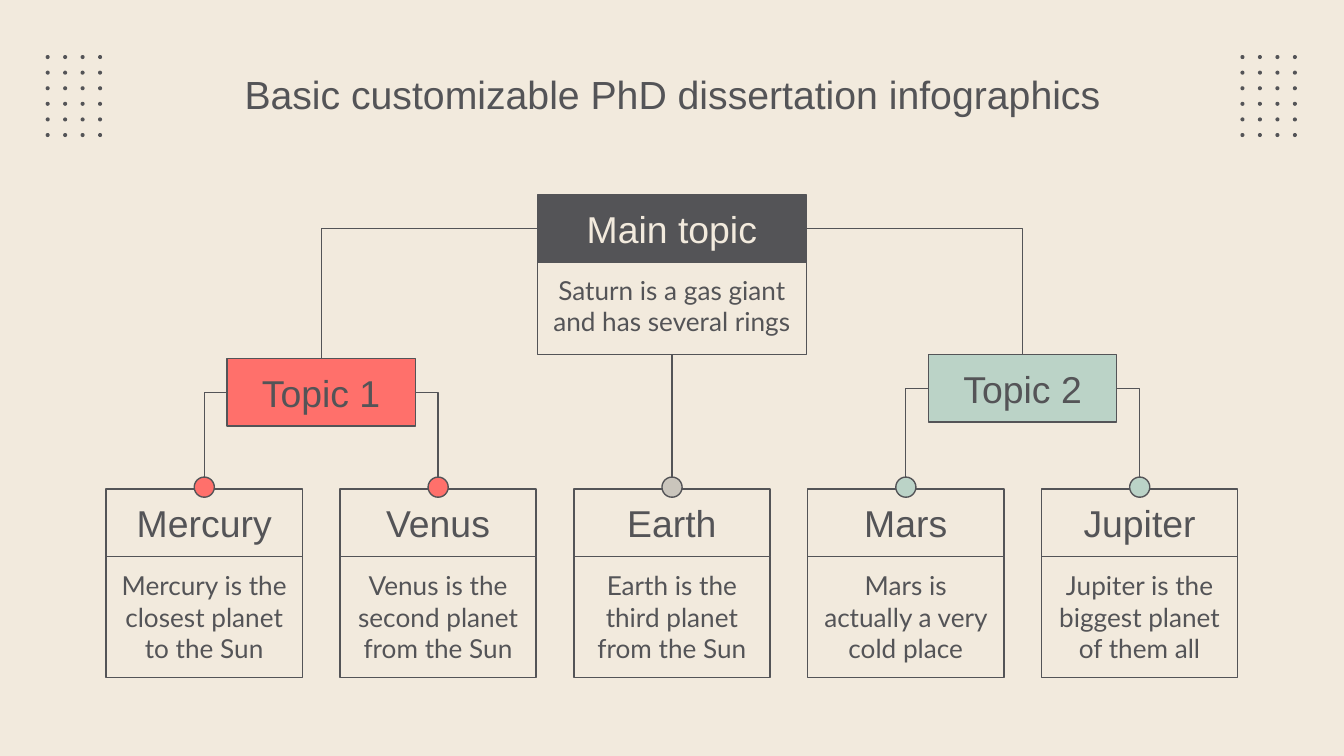
"""Build a topic tree slide with one main topic, two branches and five planets."""
from dataclasses import dataclass

from lxml.etree import SubElement
from pptx import Presentation
from pptx.dml.color import RGBColor as RGB
from pptx.enum.shapes import MSO_CONNECTOR as Link, MSO_SHAPE as Shape
from pptx.enum.text import MSO_ANCHOR as Anchor, MSO_AUTO_SIZE as Fit, PP_ALIGN as Align
from pptx.oxml.ns import qn
from pptx.util import Inches, Pt

TOP, LEFT, BOTTOM, RIGHT = range(4)


@dataclass(frozen=True)
class Theme:
    ink: RGB = RGB(0x54, 0x54, 0x57)
    paper: RGB = RGB(0xF2, 0xEA, 0xDD)
    coral: RGB = RGB(0xFF, 0x70, 0x6B)
    mint: RGB = RGB(0xBB, 0xD3, 0xC7)
    stone: RGB = RGB(0xCA, 0xC5, 0xBC)
    head: str = "Arial"
    body: str = "Lato"
    title: float = 21
    topic: float = 20
    note: float = 14
    line: float = 0.75


THEME = Theme()
PLANETS = [
    ("Mercury", "Mercury is the closest planet to the Sun", THEME.coral),
    ("Venus", "Venus is the second planet from the Sun", THEME.coral),
    ("Earth", "Earth is the third planet from the Sun", THEME.stone),
    ("Mars", "Mars is actually a very cold place", THEME.mint),
    ("Jupiter", "Jupiter is the biggest planet of them all", THEME.mint),
]


def write(shape, text, font=THEME.head, size=THEME.topic, color=THEME.ink,
          anchor=Anchor.MIDDLE, top=0.1):
    frame = shape.text_frame
    frame.text = text
    frame.word_wrap = True
    frame.auto_size = Fit.NONE
    frame.vertical_anchor = anchor
    frame.margin_left = frame.margin_right = frame.margin_bottom = Inches(0.1)
    frame.margin_top = Inches(top)
    para = frame.paragraphs[0]
    para.alignment = Align.CENTER
    para.font.name, para.font.size = font, Pt(size)
    para.font.color.rgb = color


def draw(slide, kind, left, top, width, height, fill=None, edge=True):
    shape = slide.shapes.add_shape(
        kind, Inches(left), Inches(top), Inches(width), Inches(height))
    shape.shadow.inherit = False
    if fill is None:
        shape.fill.background()
    else:
        shape.fill.solid()
        shape.fill.fore_color.rgb = fill
    if edge:
        shape.line.color.rgb = THEME.ink
        shape.line.width = Pt(THEME.line)
    else:
        shape.line.fill.background()
    return shape


def topic(slide, text, left, top, width, fill=None, color=THEME.ink):
    box = draw(slide, Shape.RECTANGLE, left, top, width, 0.5, fill)
    write(box, text, color=color)
    return box


def note(slide, text, left, top, width, height):
    box = draw(slide, Shape.RECTANGLE, left, top, width, height)
    write(box, text, font=THEME.body, size=THEME.note, anchor=Anchor.TOP)
    return box


def join(slide, start, side, end, bent=True):
    kind = Link.ELBOW if bent else Link.STRAIGHT
    line = slide.shapes.add_connector(kind, 0, 0, 0, 0)
    line.begin_connect(start, side)
    line.end_connect(end, TOP)
    line.line.color.rgb = THEME.ink
    line.line.width = Pt(THEME.line)
    props = line._element.spPr
    if bent:
        props.find(qn("a:prstGeom")).set("prst", "bentConnector2")
    SubElement(props, qn("a:effectLst"))


def dots(slide, left):
    for row in range(6):
        for col in range(4):
            draw(slide, Shape.OVAL, left + col * 0.13, 0.41 + row * 0.58 / 5,
                 0.03, 0.03, THEME.ink, edge=False)


def head(slide, text):
    title = slide.shapes.title
    title.left, title.top = Inches(0.79), Inches(0.4)
    title.width, title.height = Inches(8.43), Inches(0.63)
    write(title, text, size=THEME.title, top=0.07)


def planet(slide, index, name, text, color):
    left, width, dot = 0.79 + index * 1.74, 1.46, 0.15
    topic(slide, name, left, 3.64, width)
    note(slide, text, left, 4.14, width, 0.9)
    return draw(slide, Shape.OVAL, left + (width - dot) / 2, 3.55, dot, dot, color)


def main():
    deck = Presentation()
    deck.slide_width = Inches(10)
    deck.slide_height = deck.slide_width * 9 // 16
    slide = deck.slides.add_slide(deck.slide_layouts[5])
    slide.background.fill.solid()
    slide.background.fill.fore_color.rgb = THEME.paper

    for left in (0.34, 9.23):
        dots(slide, left)
    head(slide, "Basic customizable PhD dissertation infographics")
    pins = [planet(slide, index, *item) for index, item in enumerate(PLANETS)]

    root = topic(slide, "Main topic", 4, 1.45, 2, THEME.ink, THEME.paper)
    base = note(slide, "Saturn is a gas giant and has several rings", 4, 1.94, 2, 0.7)
    one = topic(slide, "Topic 1", 1.69, 2.67, 1.4, THEME.coral)
    two = topic(slide, "Topic 2", 6.91, 2.64, 1.4, THEME.mint)

    for start, pair in ((root, (one, two)), (one, pins[:2]), (two, pins[3:])):
        for side, end in zip((LEFT, RIGHT), pair):
            join(slide, start, side, end)
    join(slide, base, BOTTOM, pins[2], bent=False)
    deck.save("out.pptx")


if __name__ == "__main__":
    main()
